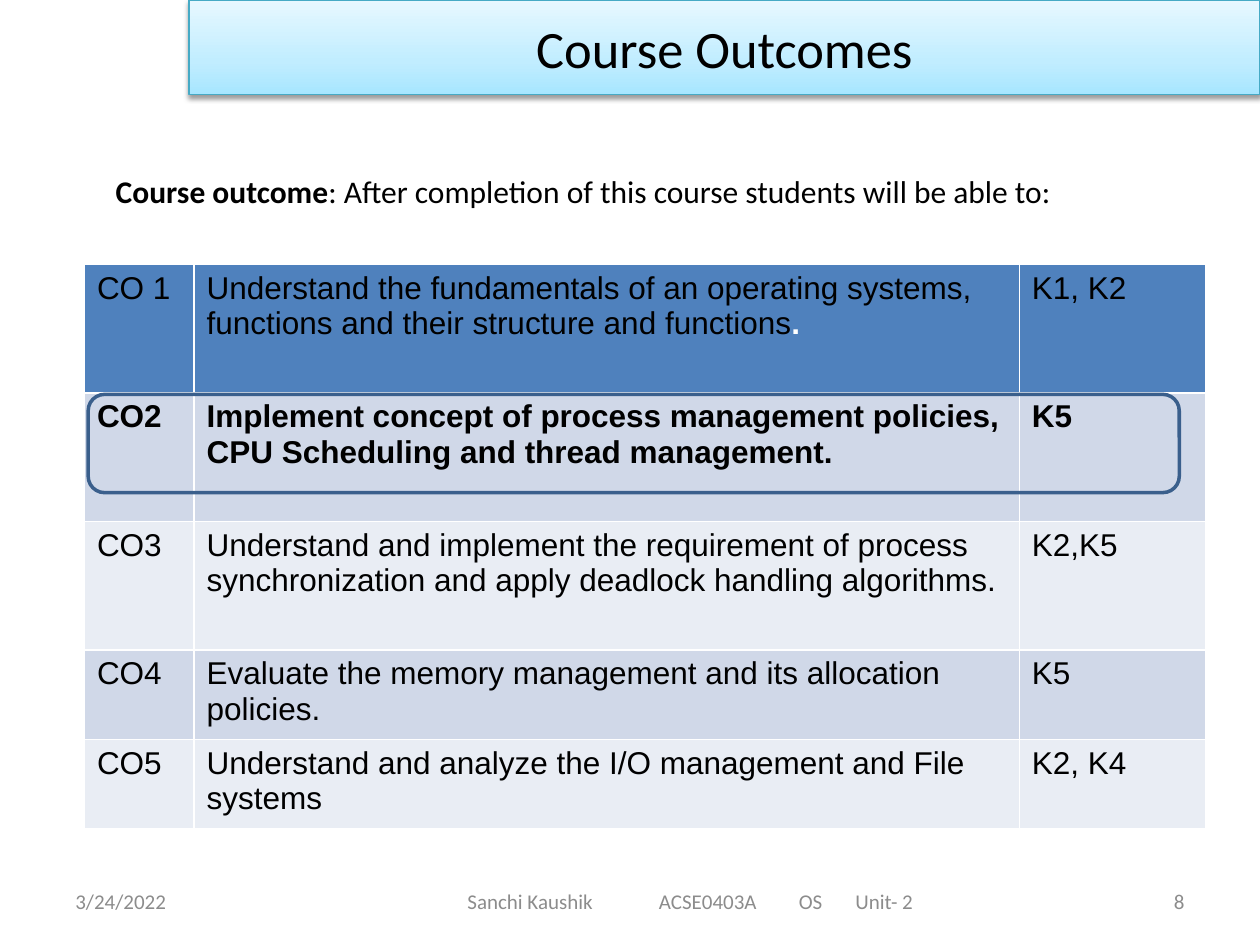
from lxml import etree
from pptx import Presentation
from pptx.dml.color import RGBColor
from pptx.enum.shapes import MSO_SHAPE
from pptx.enum.text import MSO_ANCHOR, PP_ALIGN
from pptx.oxml import parse_xml
from pptx.oxml.ns import nsdecls, qn
from pptx.util import Inches, Pt

LEFT, CENTER, RIGHT = PP_ALIGN.LEFT, PP_ALIGN.CENTER, PP_ALIGN.RIGHT
MIDDLE = MSO_ANCHOR.MIDDLE
ROUNDED = MSO_SHAPE.ROUNDED_RECTANGLE
COLORS = {
    "black": "000000", "white": "FFFFFF", "footer": "8C8C8C",
    "title_line": "46AAC5", "header": "4F81BD", "band_dark": "D0D8E8",
    "band_light": "E9EDF4", "highlight": "3A5F8C",
}
TITLE_STOPS = [(0, "A7E6FF"), (35, "C1EDFF"), (100, "E7F8FF")]


def color(name):
    return RGBColor.from_string(COLORS[name])


def add_text(paragraph, text, size=18, font="Calibri", fill="black", bold=False, align=LEFT):
    paragraph.alignment = align
    run = paragraph.add_run()
    run.text = text
    run.font.size = Pt(size)
    run.font.name = font
    run.font.bold = bold
    run.font.color.rgb = color(fill)


presentation = Presentation()
presentation.slide_width = Inches(10)
presentation.slide_height = Inches(7.5)
slide = presentation.slides.add_slide(presentation.slide_layouts[5])
shapes = slide.shapes

title = shapes.title
title.left, title.top = Inches(1.5), Inches(0)
title.width, title.height = Inches(8.5), Inches(0.75)
title.text_frame.vertical_anchor = MIDDLE
add_text(title.text_frame.paragraphs[0], "Course Outcomes", size=30, align=CENTER)
title.fill.gradient()
properties = title._element.spPr
stop_list = properties.find(".//" + qn("a:gsLst"))
for stop in list(stop_list):
    stop_list.remove(stop)
for position, value in TITLE_STOPS:
    stop = etree.SubElement(stop_list, qn("a:gs"), pos=str(position * 1000))
    etree.SubElement(stop, qn("a:srgbClr"), val=value)
title.fill.gradient_angle = 90
title.line.color.rgb = color("title_line")
title.line.width = Pt(0.75)
properties.append(parse_xml(
    f'<a:effectLst {nsdecls("a")}><a:outerShdw blurRad="{Pt(3.1)}" dist="{Pt(1.6)}" '
    'dir="5400000" rotWithShape="0"><a:srgbClr val="000000"><a:alpha val="38000"/>'
    '</a:srgbClr></a:outerShdw></a:effectLst>'))

footers = [
    (0.5, 2.33, 0.1, LEFT, "3/24/2022", []),
    (2.75, 5.5, 0.96, LEFT, "Sanchi Kaushik\tACSE0403A\tOS\tUnit- 2", [1.52, 2.63, 3.08]),
    (7.17, 2.33, 0.1, RIGHT, "8", []),
]
for left, width, margin, align, text, tabs in footers:
    footer = shapes.add_textbox(Inches(left), Inches(6.95), Inches(width), Inches(0.4))
    frame = footer.text_frame
    frame.word_wrap = True
    frame.vertical_anchor = MIDDLE
    frame.margin_left = Inches(margin)
    paragraph = frame.paragraphs[0]
    if tabs:
        tab_list = etree.SubElement(paragraph._p.get_or_add_pPr(), qn("a:tabLst"))
        for tab in tabs:
            etree.SubElement(tab_list, qn("a:tab"), pos=str(Inches(tab)), algn="l")
    add_text(paragraph, text, size=12, fill="footer", align=align)

outcomes = [
    ("CO 1", "Understand the fundamentals of an operating systems, functions and their structure and functions", "K1, K2"),
    ("CO2", "Implement concept of process management policies, CPU Scheduling and thread management.", "K5"),
    ("CO3", "Understand and implement the requirement of process synchronization and apply deadlock handling algorithms.", "K2,K5"),
    ("CO4", "Evaluate the memory management and its allocation policies.", "K5"),
    ("CO5", "Understand and analyze the I/O management and File systems", "K2, K4"),
]
row_fills = ["header", "band_dark", "band_light", "band_dark", "band_light"]
table = shapes.add_table(5, 3, Inches(0.67), Inches(2.1), Inches(8.9), Inches(4.48)).table
for column, width in zip(table.columns, [0.87, 6.55, 1.48]):
    column.width = Inches(width)
for row, height in zip(table.rows, [1.02, 1.02, 1.02, 0.71, 0.71]):
    row.height = Inches(height)
for row_index, outcome in enumerate(outcomes):
    for column_index, text in enumerate(outcome):
        cell = table.cell(row_index, column_index)
        cell.fill.solid()
        cell.fill.fore_color.rgb = color(row_fills[row_index])
        add_text(cell.text_frame.paragraphs[0], text, font="Arial", bold=row_index == 1)
add_text(table.cell(0, 1).text_frame.paragraphs[0], ".", font="Arial", fill="white", bold=True)

intro = shapes.add_textbox(Inches(0.82), Inches(1.32), Inches(8.75), Inches(0.4))
intro.text_frame.word_wrap = True
paragraph = intro.text_frame.paragraphs[0]
add_text(paragraph, "Course outcome", bold=True)
add_text(paragraph, ": After completion of this course students will be able to:")

highlight = shapes.add_shape(ROUNDED, Inches(0.7), Inches(3.13), Inches(8.66), Inches(0.78))
highlight.shadow.inherit = False
highlight.fill.background()
highlight.line.color.rgb = color("highlight")
highlight.line.width = Pt(2)

presentation.save("out.pptx")
